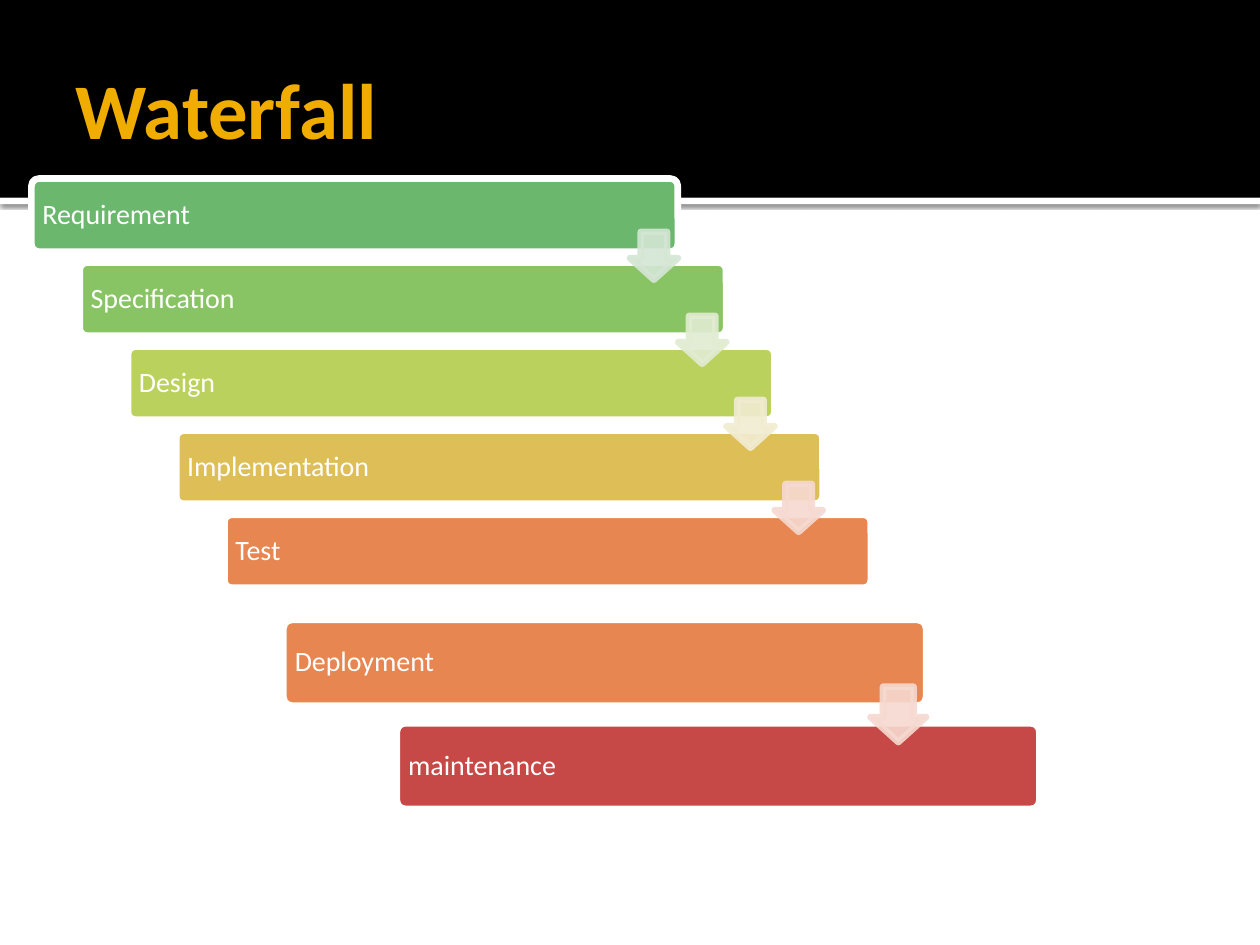
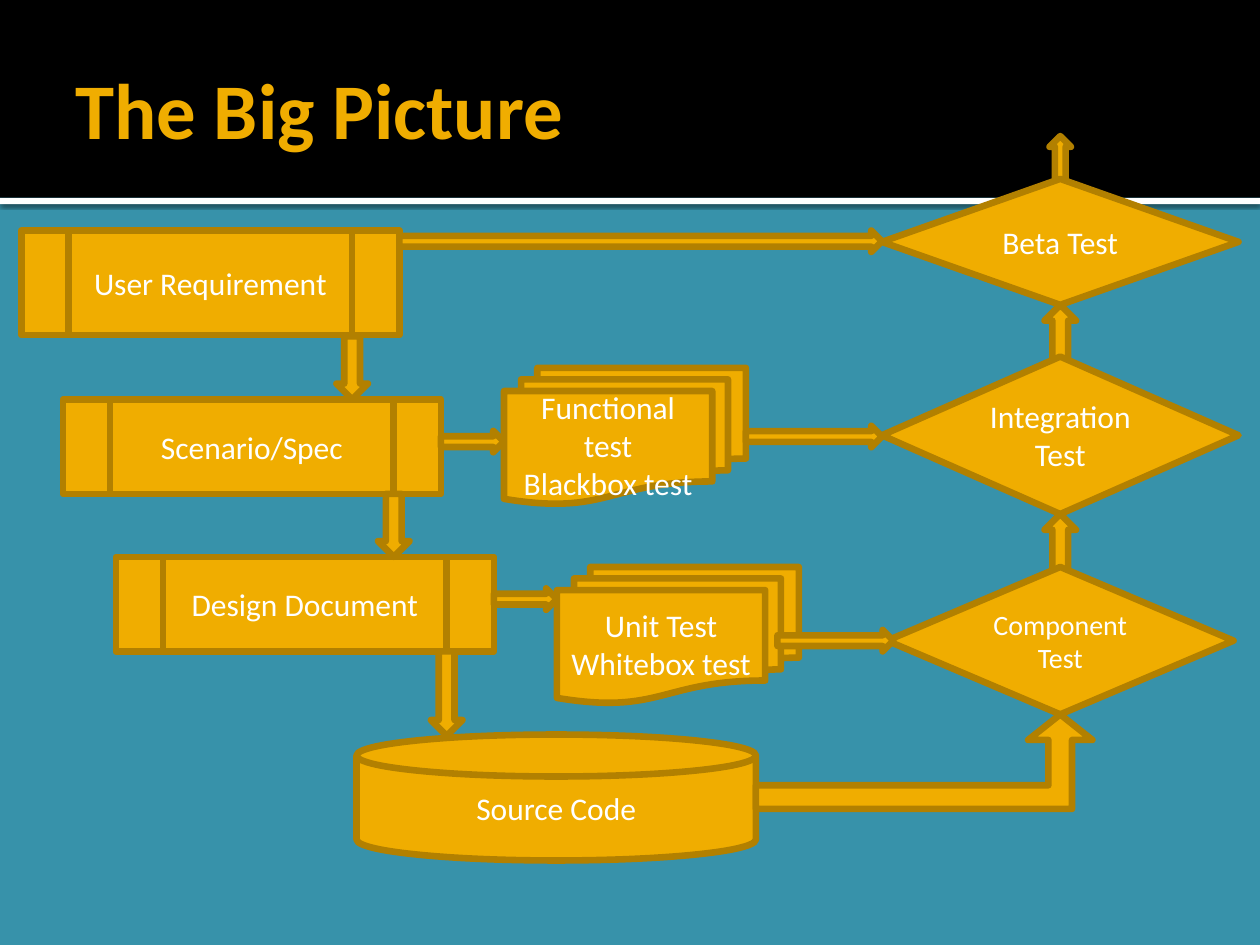
"""Two slides on software testing: the waterfall steps and the big picture."""
from lxml.etree import SubElement
from pptx import Presentation
from pptx.dml.color import RGBColor as RGB
from pptx.enum.shapes import MSO_SHAPE as SHAPE
from pptx.enum.text import MSO_ANCHOR as ANCHOR, PP_ALIGN as ALIGN
from pptx.oxml.ns import qn
from pptx.util import Inches, Pt

COLORS = {
    "white": "FFFFFF", "black": "000000", "teal": "3792AA",
    "gold": "F0AD00", "dark_gold": "B28000",
    "green": "6BB76D", "leaf": "89C464", "lime": "BBD15D",
    "sand": "DDBE57", "orange": "E88651", "red": "C64847",
    "pale_green": "D4E6D4", "pale_leaf": "E1ECD2",
    "pale_lime": "F1ECD1", "pale_orange": "F6D9D0",
}
FONT = "Calibri"


def add_box(s, kind, at, fill, line=None, text="", size=18, align=ALIGN.CENTER):
    sp = s.shapes.add_shape(kind, *map(Inches, at))
    sp.shadow.inherit = False
    sp.fill.solid()
    sp.fill.fore_color.rgb = RGB.from_string(COLORS[fill])
    if line:
        sp.line.color.rgb = RGB.from_string(COLORS[line])
        sp.line.width = Pt(3.78)
    else:
        sp.line.fill.background()
    if text:
        write(sp.text_frame, text, size, "white", align)
    return sp


def write(tf, text, size, color, align):
    tf.word_wrap = True
    tf.vertical_anchor = ANCHOR.MIDDLE
    for i, words in enumerate(text.split("\n")):
        p = tf.add_paragraph() if i else tf.paragraphs[0]
        p.text = words
        p.alignment = align
        p.font.name = FONT
        p.font.size = Pt(size)
        p.font.color.rgb = RGB.from_string(COLORS[color])


prs = Presentation()
prs.slide_width, prs.slide_height = Inches(10), Inches(7.5)

slides = []
for title, background in [("Waterfall", "white"), ("The Big Picture", "teal")]:
    s = prs.slides.add_slide(prs.slide_layouts[6])
    s.background.fill.solid()
    s.background.fill.fore_color.rgb = RGB.from_string(COLORS[background])
    rule = add_box(s, SHAPE.RECTANGLE, (0, 1.57, 10, 0.05), "white")
    effects = rule._element.spPr.find(qn("a:effectLst"))
    shadow = SubElement(effects, qn("a:outerShdw"), blurRad=str(Pt(2.5)),
                        dist=str(Pt(0.8)), dir="5400000", algn="tl", rotWithShape="0")
    color = SubElement(shadow, qn("a:srgbClr"), val=COLORS["black"])
    SubElement(color, qn("a:alpha"), val="60000")
    add_box(s, SHAPE.RECTANGLE, (0, 0, 10, 1.57), "black")
    tf = s.shapes.add_textbox(Inches(0.5), Inches(0.17), Inches(9), Inches(1.37)).text_frame
    tf.margin_right = Inches(0.05)
    write(tf, title, 45, "gold", ALIGN.LEFT)
    tf.paragraphs[0].font.bold = True
    slides.append(s)
waterfall, big_picture = slides

steps = [("Requirement", "green"), ("Specification", "leaf"), ("Design", "lime"),
         ("Implementation", "sand"), ("Test", "orange")]
bars = [(text, fill, (0.25 + 0.383 * i, 1.417 + 0.667 * i, 5.13, 0.58))
        for i, (text, fill) in enumerate(steps)]
bars += [("Deployment", "orange", (2.25, 4.92, 5.1, 0.68)),
         ("maintenance", "red", (3.15, 5.74, 5.1, 0.68))]
for text, fill, at in bars:
    sp = add_box(waterfall, SHAPE.ROUNDED_RECTANGLE, at, fill, "white", text, 16, ALIGN.LEFT)
    sp.adjustments[0] = 0.1
    tf = sp.text_frame
    tf.margin_left = tf.margin_right = tf.margin_top = tf.margin_bottom = Inches(0.07)
    tf.paragraphs[0].line_spacing = 0.9

pale = ["pale_green", "pale_leaf", "pale_lime", "pale_orange"]
drops = [(fill, (5 + 0.383 * i, 1.84 + 0.667 * i, 0.38, 0.38)) for i, fill in enumerate(pale)]
drops.append(("pale_orange", (6.91, 5.45, 0.44, 0.44)))
for fill, at in drops:
    sp = add_box(waterfall, SHAPE.DOWN_ARROW, at, fill, fill)
    sp.adjustments[0], sp.adjustments[1] = 0.55, 0.45
    for color in sp._element.spPr.iter(qn("a:srgbClr")):
        SubElement(color, qn("a:alpha"), val="90000")

UP, DOWN, RIGHT = SHAPE.UP_ARROW, SHAPE.DOWN_ARROW, SHAPE.RIGHT_ARROW
PROCESS, DECISION = SHAPE.FLOWCHART_PREDEFINED_PROCESS, SHAPE.FLOWCHART_DECISION
DOCUMENTS, DISK = SHAPE.FLOWCHART_MULTIDOCUMENT, SHAPE.FLOWCHART_MAGNETIC_DISK
flow = [
    (UP, (8.29, 4.08, 0.25, 0.67), ""),
    (UP, (8.29, 2.42, 0.25, 0.5), ""),
    (UP, (8.33, 1.08, 0.17, 0.42), ""),
    (PROCESS, (0.17, 1.83, 3, 0.83), "User Requirement"),
    (DOWN, (2.67, 2.67, 0.25, 0.5), ""),
    (PROCESS, (0.5, 3.17, 3, 0.75), "Scenario/Spec"),
    (PROCESS, (0.92, 4.42, 3, 0.75), "Design Document"),
    (DOWN, (3, 3.92, 0.25, 0.5), ""),
    (DOWN, (3.42, 5.17, 0.25, 0.67), ""),
    (DISK, (2.83, 5.83, 3.17, 1), "Source Code"),
    (RIGHT, (3.92, 4.67, 0.5, 0.17), ""),
    (RIGHT, (3.5, 3.42, 0.5, 0.17), ""),
    (DOCUMENTS, (4.42, 4.5, 1.92, 1.08), "Unit Test\nWhitebox test"),
    (DOCUMENTS, (4, 2.92, 1.92, 1.08), "Functional test\nBlackbox test"),
    (SHAPE.BENT_UP_ARROW, (6, 5.67, 2.67, 0.75), ""),
    (DECISION, (7.04, 4.5, 2.75, 1.17), "Component\nTest"),
    (DECISION, (7, 2.83, 2.83, 1.25), "Integration\nTest"),
    (RIGHT, (5.92, 3.38, 1.08, 0.17), ""),
    (RIGHT, (6.17, 5, 0.92, 0.17), ""),
    (RIGHT, (3.17, 1.83, 3.83, 0.17), ""),
    (DECISION, (7, 1.42, 2.83, 1), "Beta Test"),
]
for kind, at, text in flow:
    size = 16 if text.startswith("Component") else 18
    sp = add_box(big_picture, kind, at, "gold", "dark_gold", text, size)
    if kind == SHAPE.BENT_UP_ARROW:
        sp.adjustments[1], sp.adjustments[2] = 0.34, 0.27

prs.save("out.pptx")
